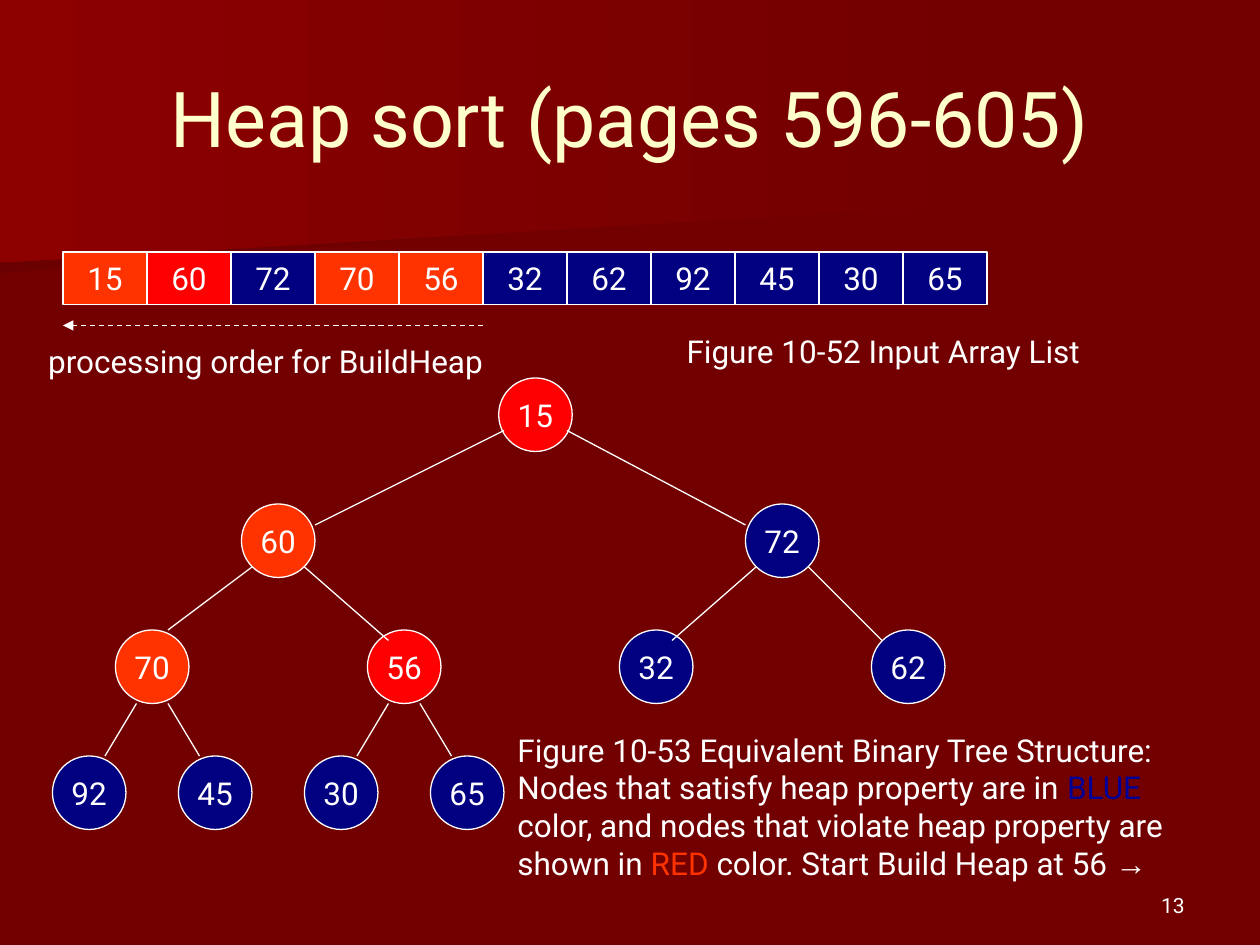
"""Build the heap sort slide: input array, binary tree and captions."""
from lxml import etree
from pptx import Presentation
from pptx import util as u
from pptx.dml.color import RGBColor
from pptx.enum import dml, shapes, text
from pptx.oxml.ns import qn

PX = 7620
HUES = {"back": "720000", "dark": "6A0000", "glow": "8C0000", "title": "FFFFCC",
        "white": "FFFFFF", "warm": "FF3300", "red": "FF0000", "navy": "000080",
        "blue": "000099"}
RGB = {name: RGBColor.from_string(code) for name, code in HUES.items()}


def write(shape, paras, size=18, hue="white", align="LEFT", anchor="TOP", wrap=False):
    """Fill a shape with paragraphs, each a list of (text, hue, font) runs."""
    frame = shape.text_frame
    frame.word_wrap = wrap
    frame.vertical_anchor = text.MSO_ANCHOR[anchor]
    if isinstance(paras, str):
        paras = [[(paras, hue, "Roboto")]]
    for i, runs in enumerate(paras):
        para = frame.paragraphs[0] if i == 0 else frame.add_paragraph()
        para.alignment = text.PP_ALIGN[align]
        for words, tint, face in runs:
            if words == "\n":
                para.add_line_break()
                continue
            run = para.add_run()
            run.text = words
            run.font.size = u.Pt(size)
            run.font.name = face
            run.font.color.rgb = RGB[tint]


def link(x1, y1, x2, y2):
    """Draw a thin white line and return it."""
    line = slide.shapes.add_connector(
        shapes.MSO_CONNECTOR.STRAIGHT, x1 * PX, y1 * PX, x2 * PX, y2 * PX)
    line.line.color.rgb = RGB["white"]
    line.line.width = u.Pt(0.75)
    etree.SubElement(line.element.spPr, qn("a:effectLst"))
    return line


deck = Presentation()
deck.slide_width, deck.slide_height = 1200 * PX, 900 * PX
slide = deck.slides.add_slide(deck.slide_layouts[5])
slide.background.fill.solid()
slide.background.fill.fore_color.rgb = RGB["back"]

bands = [
    ("dark", [(934, 184), (0, 260), (0, 121), (935, 121), (934, 154)]),
    ("glow", [(950, 194), (0, 250), (0, 0), (950, 0)]),
]
for hue, points in bands:
    pen = slide.shapes.build_freeform(*points[0], scale=PX)
    pen.add_line_segments(points[1:], close=True)
    band = pen.convert_to_shape()
    band.shadow.inherit = False
    band.line.fill.background()
    band.fill.gradient()
    band.fill.gradient_angle = 180
    for stop, tint in zip(band.fill.gradient_stops, ("back", hue)):
        stop.color.rgb = RGB[tint]

title = slide.shapes.title
title.element.getparent().append(title.element)
title.left, title.top, title.width, title.height = [n * PX for n in (60, 36, 1080, 150)]
write(title, "Heap sort (pages 596-605)", size=44, hue="title", align="CENTER",
      anchor="MIDDLE", wrap=True)

keys = [15, 60, 72, 70, 56, 32, 62, 92, 45, 30, 65]
cells = ["warm", "red", "navy", "warm", "warm"] + ["navy"] * 6
nodes = ["red", "warm", "navy", "warm", "red"] + ["navy"] * 6
lefts = [475, 230, 710] + [110 + 240 * i for i in range(4)] + [50 + 120 * i for i in range(4)]

items = []
for i, key in enumerate(keys):
    level = (i + 1).bit_length() - 1
    items.append(("RECTANGLE", key, cells[i], 60 + 80 * i, 240, 80, 50))
    items.append(("OVAL", key, nodes[i], lefts[i], 360 + 120 * level, 70, 70))
for kind, key, hue, *box in items:
    item = slide.shapes.add_shape(shapes.MSO_SHAPE[kind], *[n * PX for n in box])
    item.shadow.inherit = False
    item.fill.solid()
    item.fill.fore_color.rgb = RGB[hue]
    item.line.color.rgb = RGB["white"]
    item.line.width = u.Pt(0.75)
    write(item, str(key), align="CENTER", anchor="MIDDLE")

edges = [(480, 410, 300, 500), (540, 410, 710, 500), (240, 540, 160, 600),
         (290, 540, 370, 610), (720, 540, 640, 610), (770, 540, 840, 610)]
for x in (110, 350):
    edges += [(x + 20, 670, x - 10, 720), (x + 50, 670, x + 80, 720)]
for edge in edges:
    link(*edge)

arrow = link(460, 310, 60, 310)
arrow.line.dash_style = dml.MSO_LINE.DASH
etree.SubElement(arrow.line._get_or_add_ln(), qn("a:tailEnd"), type="triangle")

legend = [
    [("Figure 10-53 Equivalent Binary Tree Structure:", "white", "Roboto")],
    [("Nodes that satisfy heap property are in ", "white", "Roboto"),
     ("BLUE", "blue", "Roboto"),
     ("\n", "white", "Roboto"),
     ("color, and nodes that violate heap property are", "white", "Roboto"),
     ("\n", "white", "Roboto"),
     ("shown in ", "white", "Roboto"),
     ("RED", "warm", "Roboto"),
     (" color. Start Build Heap at 56 ", "white", "Roboto"),
     ("→", "white", "Arial")],
]
notes = [
    ((642, 310, 424, 48), "Figure 10-52 Input Array List", {}),
    ((481, 690, 696, 156), legend, {}),
    ((34, 320, 467, 48), "processing order for BuildHeap", {}),
    ((860, 820, 280, 60), "13",
     {"size": 12, "align": "RIGHT", "anchor": "BOTTOM", "wrap": True}),
]
for box, words, form in notes:
    write(slide.shapes.add_textbox(*[n * PX for n in box]), words, **form)

deck.save("out.pptx")
